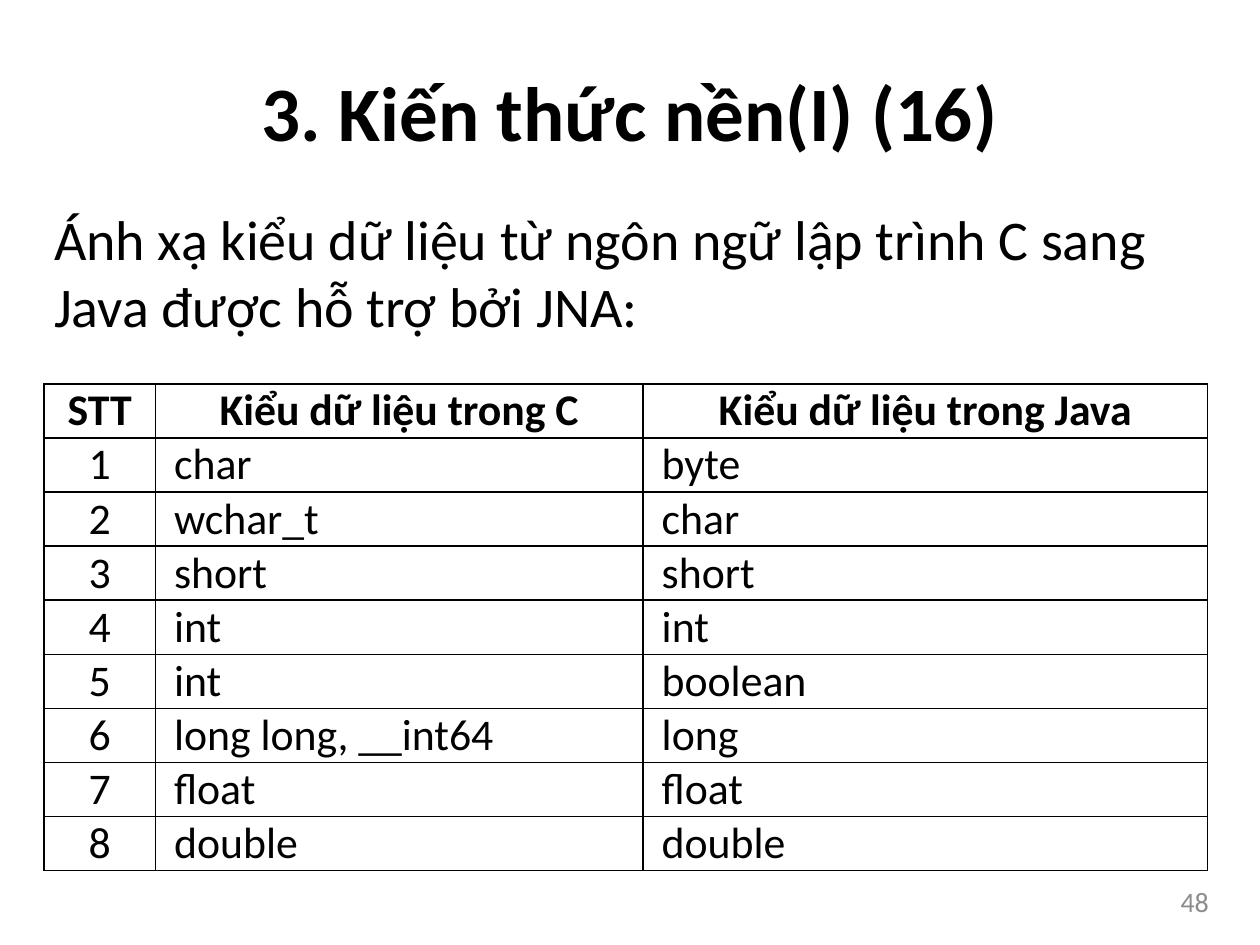
"""Build the slide on mapping C data types to Java through JNA."""
from lxml.etree import SubElement
from pptx import Presentation
from pptx.dml.color import RGBColor
from pptx.enum.text import MSO_ANCHOR as ANCHOR, PP_ALIGN as ALIGN
from pptx.oxml.ns import qn
from pptx.util import Cm, Pt

COLORS = {"text": "000000", "border": "000000", "number": "8C8C8C"}
FONT = "Calibri"
HEADERS = ("STT", "Kiểu dữ liệu trong C", "Kiểu dữ liệu trong Java")
TYPE_PAIRS = (
    ("char", "byte"),
    ("wchar_t", "char"),
    ("short", "short"),
    ("int", "int"),
    ("int", "boolean"),
    ("long long, __int64", "long"),
    ("float", "float"),
    ("double", "double"),
)
COL_WIDTHS = (2.24, 9.83, 11.38)
ROW_HEIGHT = 1.09


def write(tf, text, size, align=ALIGN.LEFT, bold=False, color="text"):
    p = tf.paragraphs[0]
    p.text = text
    p.alignment = align
    p.font.name = FONT
    p.font.size = Pt(size)
    p.font.bold = bold
    p.font.color.rgb = RGBColor.from_string(COLORS[color])
    return p


def add_text(s, box, text, size, anchor=ANCHOR.MIDDLE, **style):
    tf = s.shapes.add_textbox(*map(Cm, box)).text_frame
    tf.word_wrap = True
    tf.vertical_anchor = anchor
    return write(tf, text, size, **style)


def add_borders(cell):
    tc_pr = cell._tc.get_or_add_tcPr()
    for side in ("lnL", "lnR", "lnT", "lnB"):
        ln = SubElement(tc_pr, qn(f"a:{side}"), w=str(Pt(1)))
        fill = SubElement(ln, qn("a:solidFill"))
        SubElement(fill, qn("a:srgbClr"), val=COLORS["border"])


def fill_cell(cell, text, align, bold):
    cell.margin_left = cell.margin_right = Cm(0.38)
    cell.margin_top = cell.margin_bottom = 0
    cell.vertical_anchor = ANCHOR.MIDDLE
    write(cell.text_frame, text, 25, align, bold)
    add_borders(cell)
    cell.fill.background()


def add_type_table(s, left, top):
    rows = [HEADERS] + [(str(i), *pair) for i, pair in enumerate(TYPE_PAIRS, 1)]
    table = s.shapes.add_table(
        len(rows), len(HEADERS), Cm(left), Cm(top),
        Cm(sum(COL_WIDTHS)), Cm(ROW_HEIGHT * len(rows))).table
    table.first_row = table.horz_banding = False
    for column, width in zip(table.columns, COL_WIDTHS):
        column.width = Cm(width)
    for i, values in enumerate(rows):
        table.rows[i].height = Cm(ROW_HEIGHT)
        for j, value in enumerate(values):
            centered = i == 0 or j == 0
            fill_cell(table.cell(i, j), value,
                      ALIGN.CENTER if centered else ALIGN.LEFT, i == 0)


def main():
    prs = Presentation()
    prs.slide_width, prs.slide_height = Cm(25.4), Cm(19.05)
    s = prs.slides.add_slide(prs.slide_layouts[6])
    add_text(s, (18.9, 17.65, 5.72, 1.02), "48", 16,
             align=ALIGN.RIGHT, color="number")
    add_type_table(s, 0.89, 7.74)
    add_text(s, (0.84, 3.99, 23.5, 3),
             "Ánh xạ kiểu dữ liệu từ ngôn ngữ lập trình C sang "
             "Java được hỗ trợ bởi JNA:", 32, anchor=ANCHOR.TOP)
    title = add_text(s, (1.27, 0.76, 22.86, 3.18), "3. Kiến thức nền(I) (16)",
                     44, align=ALIGN.CENTER, bold=True)
    title.line_spacing = 0.9
    prs.save("out.pptx")


if __name__ == "__main__":
    main()
